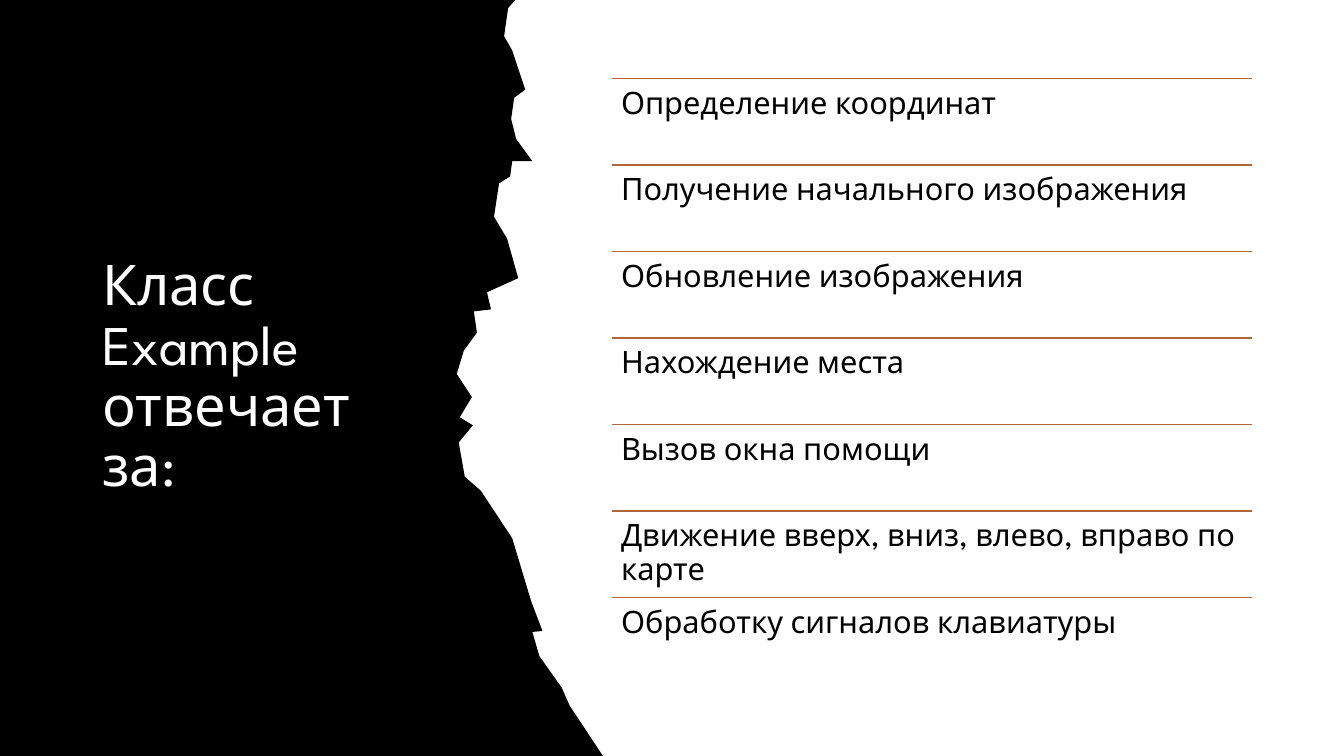
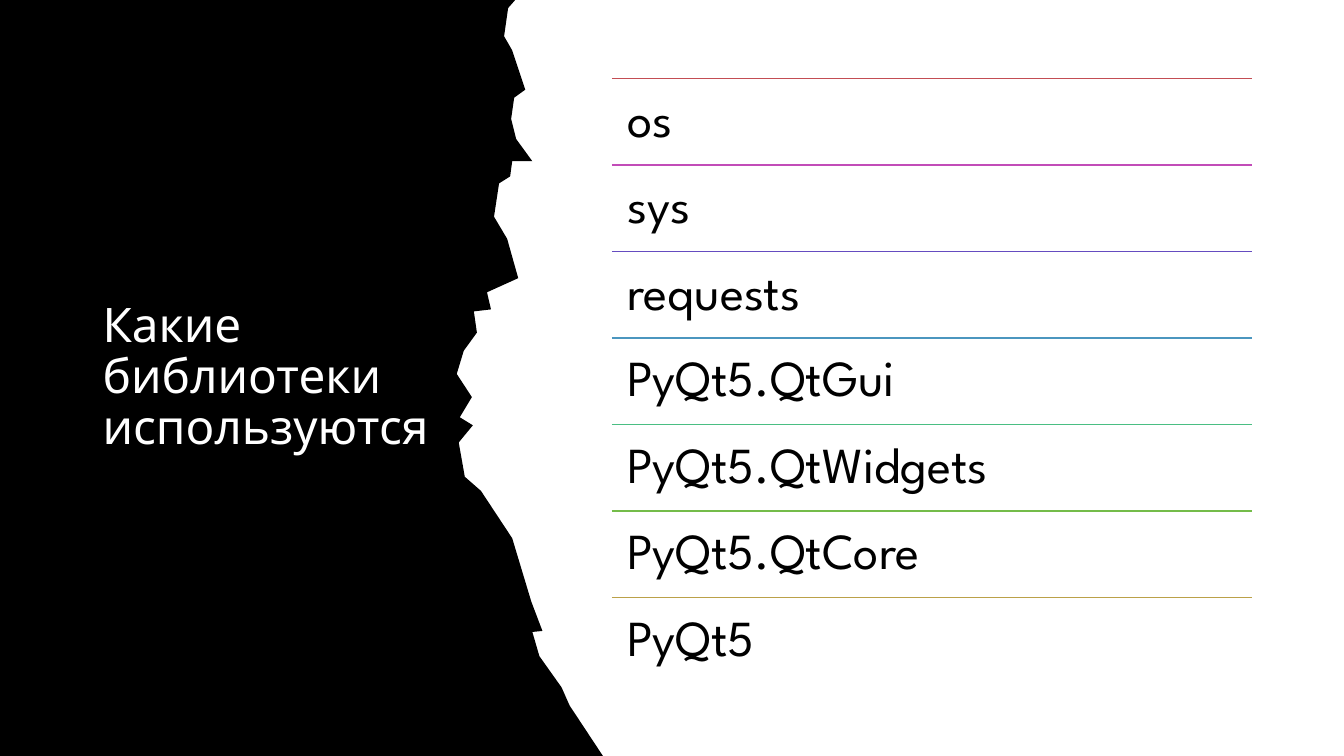
from dataclasses import dataclass

from lxml.etree import SubElement
from pptx import Presentation
from pptx.dml.color import RGBColor
from pptx.enum.shapes import MSO_CONNECTOR
from pptx.enum.text import MSO_ANCHOR, MSO_AUTO_SIZE, PP_ALIGN
from pptx.oxml.ns import qn
from pptx.slide import Slide
from pptx.text.text import TextFrame
from pptx.util import Inches, Pt

BLACK = RGBColor(0x00, 0x00, 0x00)
WHITE = RGBColor(0xFF, 0xFF, 0xFF)
RUST = RGBColor(0xB1, 0x65, 0x3B)
RAINBOW = tuple(RGBColor.from_string(code) for code in (
    "C34D54", "C24CB8", "654CC0", "4B96BF", "4ABE83", "74BC4A", "BBA149"))
FONT = "League Spartan"

# Grid of 100 columns and 100 rows
SLIDE_WIDTH, SLIDE_HEIGHT = Inches(13.33), Inches(7.5)
COLUMN, ROW = SLIDE_WIDTH / 100, SLIDE_HEIGHT / 100

# Corners of the torn edge from top to bottom, in inches
TORN_EDGE = (
    (5.11, 0), (5.04, 0.08), (5, 0.36), (5.08, 0.5), (5.21, 0.89),
    (5.1, 0.97), (5.07, 1.18), (5.12, 1.38), (5.28, 1.6), (5.08, 1.6),
    (5.06, 1.75), (4.95, 1.82), (4.9, 2.15), (5.03, 2.37), (5.14, 2.76),
    (4.83, 2.9), (4.87, 3.07), (4.7, 3.09), (4.73, 3.3), (4.6, 3.48),
    (4.53, 3.71), (4.68, 3.94), (4.56, 4.14), (4.69, 4.22), (4.55, 4.39),
    (4.61, 4.73), (4.77, 4.87), (5.08, 5.34), (5.27, 5.97), (5.38, 6.26),
    (5.28, 6.27), (5.35, 6.51), (5.57, 6.82), (5.65, 7), (5.98, 7.5),
)


@dataclass(frozen=True)
class Area:
    """A rectangle in grid columns and rows."""
    left: float
    top: float
    width: float
    height: float

    def emu(self) -> tuple[int, int, int, int]:
        return (round(self.left * COLUMN), round(self.top * ROW),
                round(self.width * COLUMN), round(self.height * ROW))

    def row(self, index: int, count: int) -> "Area":
        height = self.height / count
        return Area(self.left, self.top + index * height, self.width, height)


@dataclass(frozen=True)
class Topic:
    title: str
    title_size: int
    items: tuple[str, ...]
    item_size: int
    item_inset: float
    rule_colors: tuple[RGBColor, ...]


TITLE_AREA = Area(6.88, 10.4, 26.25, 79.2)
LIST_AREA = Area(45.53, 10.4, 47.62, 80.1)

TOPICS = (
    Topic("Класс Example отвечает за:", 40,
          ("Определение координат",
           "Получение начального изображения",
           "Обновление изображения",
           "Нахождение места",
           "Вызов окна помощи",
           "Движение вверх, вниз, влево, вправо по карте",
           "Обработку сигналов клавиатуры"),
          22, 0.09, (RUST,) * 7),
    Topic("Какие библиотеки используются", 34,
          ("os", "sys", "requests", "PyQt5.QtGui", "PyQt5.QtWidgets",
           "PyQt5.QtCore", "PyQt5"),
          36, 0.15, RAINBOW),
)


def draw_torn_panel(slide: Slide) -> None:
    edge = [(Inches(x), Inches(y)) for x, y in TORN_EDGE]
    outline = slide.shapes.build_freeform(0, 0)
    outline.add_line_segments([*edge, (0, SLIDE_HEIGHT)], close=True)
    panel = outline.convert_to_shape()
    panel.shadow.inherit = False
    panel.fill.solid()
    panel.fill.fore_color.rgb = BLACK
    panel.line.fill.background()


def write(frame: TextFrame, text: str, size: int, color: RGBColor) -> None:
    frame.text = text
    frame.word_wrap = True
    frame.auto_size = MSO_AUTO_SIZE.NONE
    paragraph = frame.paragraphs[0]
    paragraph.alignment = PP_ALIGN.LEFT
    paragraph.line_spacing = 0.9
    font = paragraph.runs[0].font
    font.name, font.size, font.color.rgb = FONT, Pt(size), color


def place_title(slide: Slide, topic: Topic) -> None:
    title = slide.shapes.title
    title.left, title.top, title.width, title.height = TITLE_AREA.emu()
    write(title.text_frame, topic.title, topic.title_size, WHITE)
    title.text_frame.vertical_anchor = MSO_ANCHOR.MIDDLE
    # Bring the title in front of the panel
    slide.shapes._spTree.append(title._element)


def draw_item(slide: Slide, area: Area, text: str, color: RGBColor,
              topic: Topic) -> None:
    left, top, width, height = area.emu()
    rule = slide.shapes.add_connector(
        MSO_CONNECTOR.STRAIGHT, left, top, left + width, top)
    rule.line.color.rgb = color
    rule.line.width = Pt(1)
    SubElement(rule._element.spPr, qn("a:effectLst"))

    frame = slide.shapes.add_textbox(left, top, width, height).text_frame
    write(frame, text, topic.item_size, BLACK)
    inset = Inches(topic.item_inset)
    frame.margin_left = frame.margin_right = inset
    frame.margin_top = frame.margin_bottom = inset


def main() -> None:
    deck = Presentation()
    deck.slide_width, deck.slide_height = SLIDE_WIDTH, SLIDE_HEIGHT
    title_only = deck.slide_layouts[5]
    for topic in TOPICS:
        slide = deck.slides.add_slide(title_only)
        draw_torn_panel(slide)
        place_title(slide, topic)
        # Ruled list on the right
        for index, (text, color) in enumerate(zip(topic.items, topic.rule_colors)):
            area = LIST_AREA.row(index, len(topic.items))
            draw_item(slide, area, text, color, topic)
    deck.save("out.pptx")


if __name__ == "__main__":
    main()
